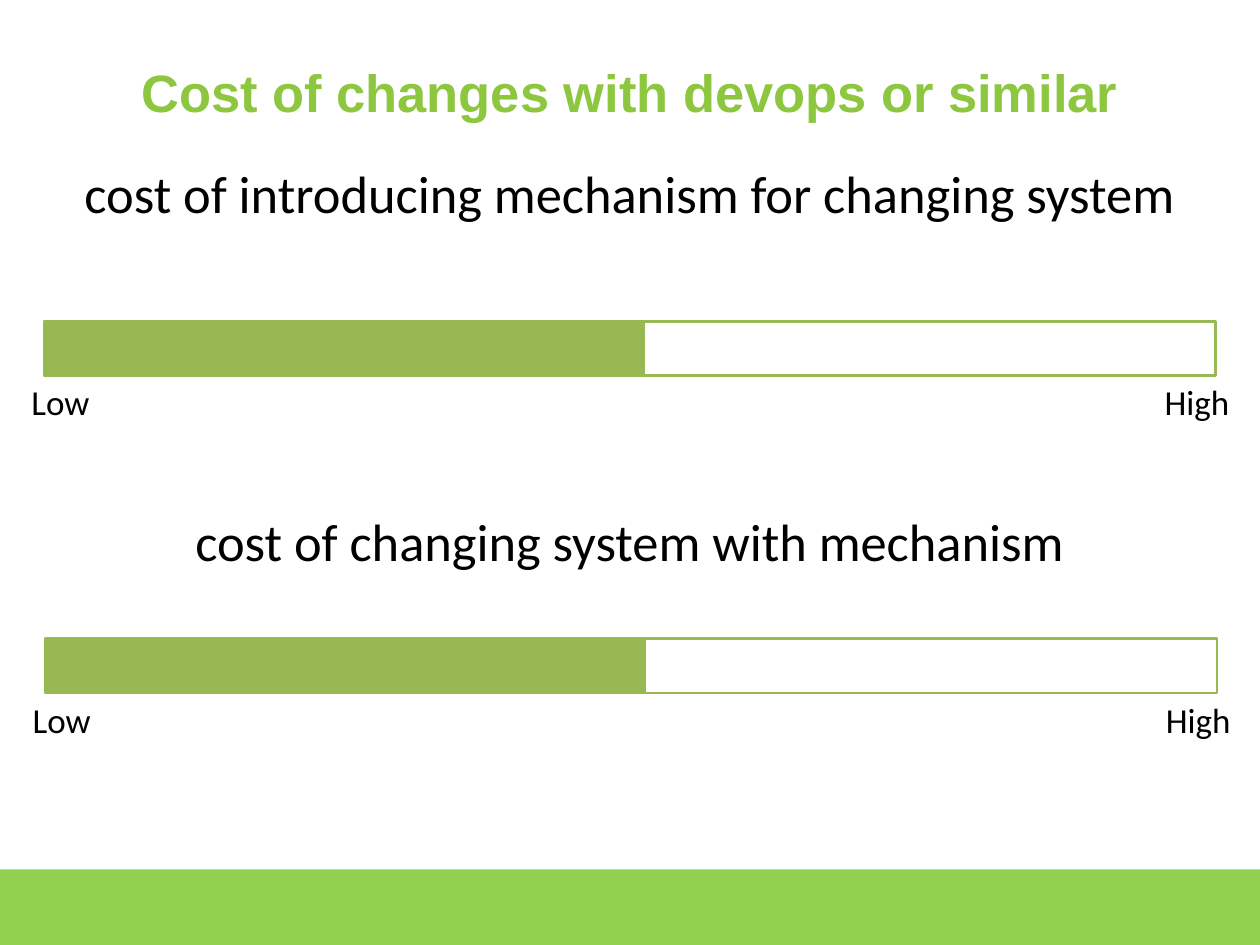
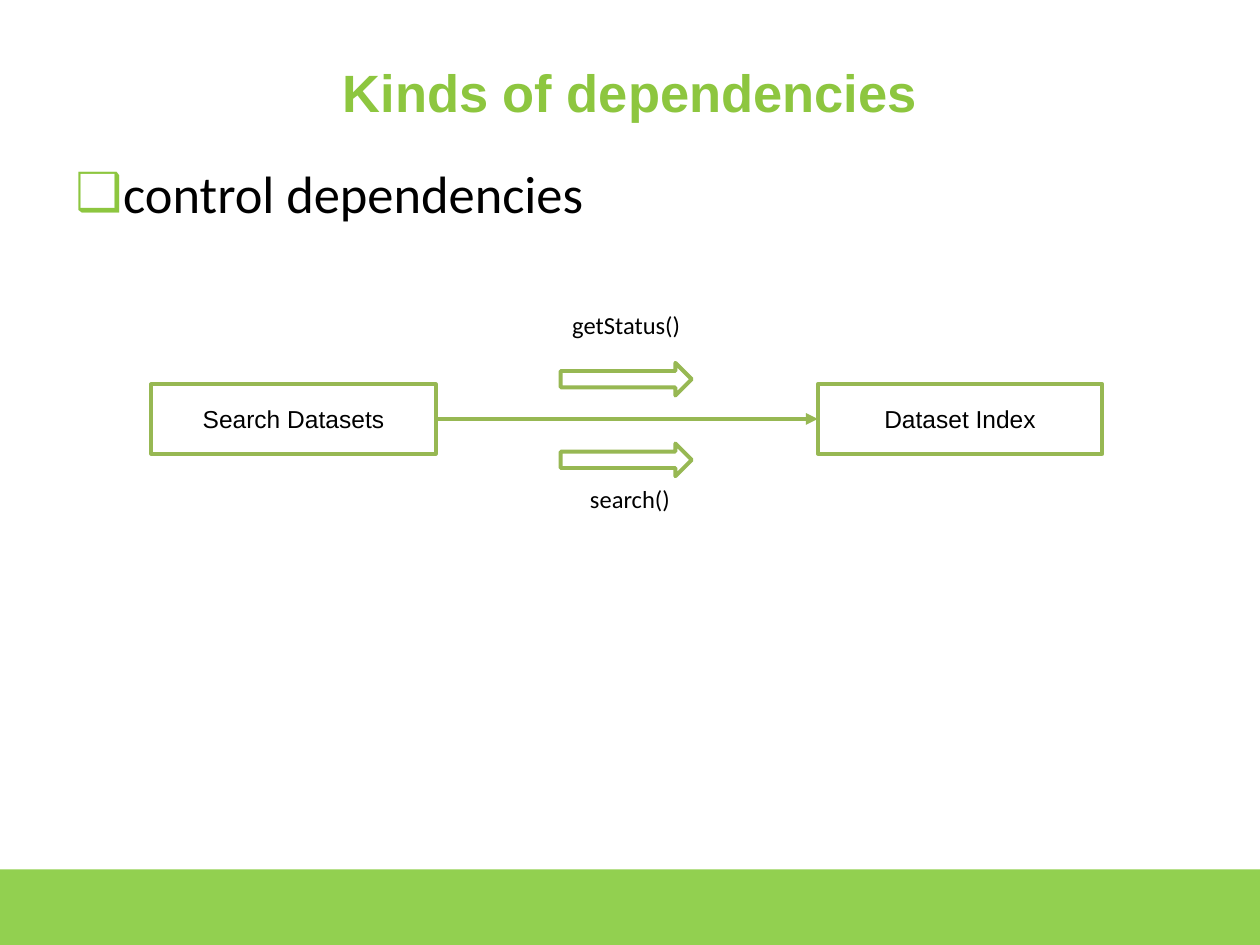
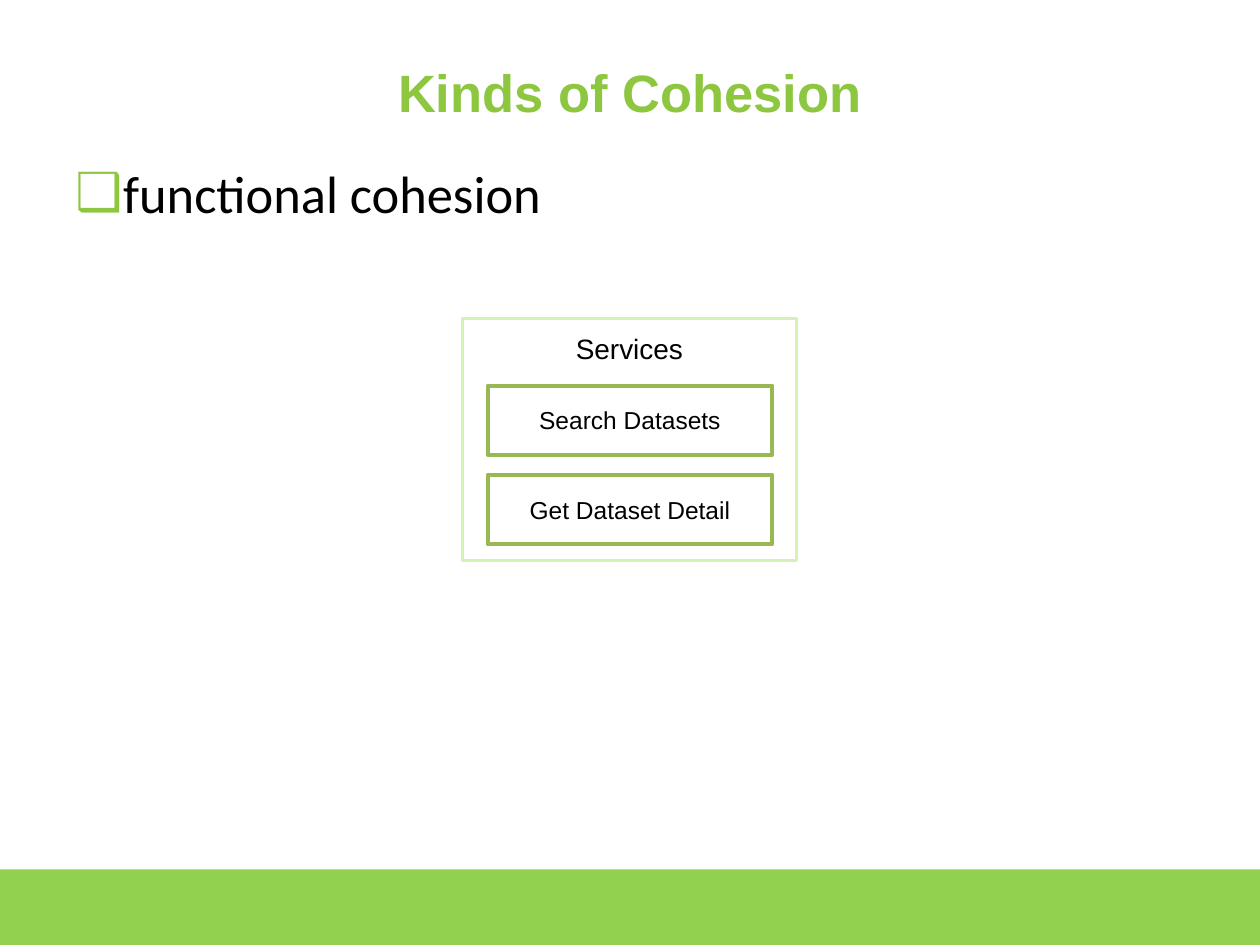
from lxml import etree
from pptx import Presentation
from pptx import util as u
from pptx.dml.color import RGBColor
from pptx.enum import shapes, text
from pptx.oxml import ns

PX = 9144  # EMU per px, 100 px to the inch
WIDTH, HEIGHT = 1000, 750
HEX = {
    "band": "92D050",
    "title": "8DC63F",
    "line": "97B853",
    "pale": "D3F2B6",
    "text": "000000",
}
RECT = shapes.MSO_SHAPE.RECTANGLE
ARROW = shapes.MSO_SHAPE.RIGHT_ARROW
TOP, MIDDLE = text.MSO_ANCHOR.TOP, text.MSO_ANCHOR.MIDDLE
LEFT, CENTER = text.PP_ALIGN.LEFT, text.PP_ALIGN.CENTER


def px(*vals):
    return [u.Emu(val * PX) for val in vals]


def rgb(name):
    return RGBColor.from_string(HEX[name])


def add(parent, tag, **attrs):
    node = etree.SubElement(parent, ns.qn(tag))
    for key, val in attrs.items():
        node.set(key, val)
    return node


class Deck:
    def __init__(self):
        self.prs = Presentation()
        self.prs.slide_width, self.prs.slide_height = px(WIDTH, HEIGHT)
        self.slide = None

    def page(self, title):
        """Start a slide with its green band and title."""
        self.slide = self.prs.slides.add_slide(self.prs.slide_layouts[6])
        self.shape(0, 690, WIDTH, HEIGHT - 690, fill="band", line=None)
        self.label(50, 30, 900, 85, title, 30, font="Arial", color="title",
                   bold=True, pad=5)

    def letter(self, shape, words, size, font="Calibri", color="text",
               bold=False, align=CENTER, anchor=MIDDLE, pad=10):
        """Put styled words in a shape and return their paragraph."""
        frame = shape.text_frame
        frame.word_wrap = True
        frame.vertical_anchor = anchor
        frame.margin_left, frame.margin_right = px(10, 10)
        frame.margin_top, frame.margin_bottom = px(pad, pad)
        frame.text = words
        para = frame.paragraphs[0]
        para.alignment = align
        style = para.runs[0].font
        style.name, style.size, style.bold = font, u.Pt(size), bold
        style.color.rgb = rgb(color)
        return para

    def label(self, x, y, w, h, words, size, **style):
        box = self.slide.shapes.add_textbox(*px(x, y, w, h))
        return self.letter(box, words, size, **style)

    def lead(self, y, words, align=CENTER):
        return self.label(50, y, 900, 78, words, 30, align=align,
                          anchor=TOP, pad=5)

    def bullet(self, words):
        props = self.lead(123, words, LEFT)._p.get_or_add_pPr()
        indent = 38 * PX
        props.set("marL", str(indent))
        props.set("indent", str(-indent))
        add(add(props, "a:buClr"), "a:srgbClr", val=HEX["title"])
        add(props, "a:buFont", typeface="Arial")
        add(props, "a:buChar", char="❑")

    def shape(self, x, y, w, h, kind=RECT, fill=None, line="line", weight=2.25):
        item = self.slide.shapes.add_shape(kind, *px(x, y, w, h))
        item.shadow.inherit = False
        if fill:
            item.fill.solid()
            item.fill.fore_color.rgb = rgb(fill)
        else:
            item.fill.background()
        if line:
            item.line.color.rgb = rgb(line)
            item.line.width = u.Pt(weight)
        else:
            item.line.fill.background()
        return item

    def node(self, x, y, words):
        item = self.shape(x, y, 226, 55)
        self.letter(item, words, 14, font="Arial")
        return item

    def link(self, start, end):
        """Draw an arrow from the right side of start to the left of end."""
        line = self.slide.shapes.add_connector(
            shapes.MSO_CONNECTOR.STRAIGHT, 0, 0, 0, 0)
        line.begin_connect(start, 3)
        line.end_connect(end, 1)
        line.line.color.rgb = rgb("line")
        line.line.width = u.Pt(2.25)
        props = line._element.spPr
        add(props.find(ns.qn("a:ln")), "a:tailEnd", type="triangle")
        add(props, "a:effectLst")

    def gauge(self, x, y):
        """Draw a half-filled bar that runs from low to high."""
        self.shape(x, y, 930, 43, weight=1.5)
        self.shape(x, y, 476, 43, fill="line", weight=1.5)
        for shift, words in ((-29, "Low"), (873, "High")):
            self.label(x + shift, y + 35, 84, 58, words, 20)


def costs(deck):
    deck.page("Cost of changes with devops or similar")
    deck.lead(123, "cost of introducing mechanism for changing system")
    deck.gauge(35, 255)
    deck.lead(399, "cost of changing system with mechanism")
    deck.gauge(36, 507)


def control(deck):
    deck.page("Kinds of dependencies")
    deck.bullet("control dependencies")
    search = deck.node(120, 305, "Search Datasets")
    index = deck.node(649, 305, "Dataset Index")
    deck.link(search, index)
    calls = ((288, 384, 227, "getStatus()"), (352, 387, 365, "search()"))
    for y, left, top, words in calls:
        deck.shape(445, y, 104, 26, kind=ARROW)
        deck.label(left, top, 226, 61, words, 14)


def cohesion(deck):
    deck.page("Kinds of Cohesion")
    deck.bullet("functional cohesion")
    group = deck.shape(367, 253, 265, 192, line="pale", weight=1.5)
    deck.letter(group, "Services", 16, font="Arial", anchor=TOP)
    for row, words in enumerate(("Search Datasets", "Get Dataset Detail")):
        deck.node(387, 306 + 71 * row, words)


def main():
    deck = Deck()
    for build in (costs, control, cohesion):
        build(deck)
    deck.prs.save("out.pptx")


if __name__ == "__main__":
    main()
